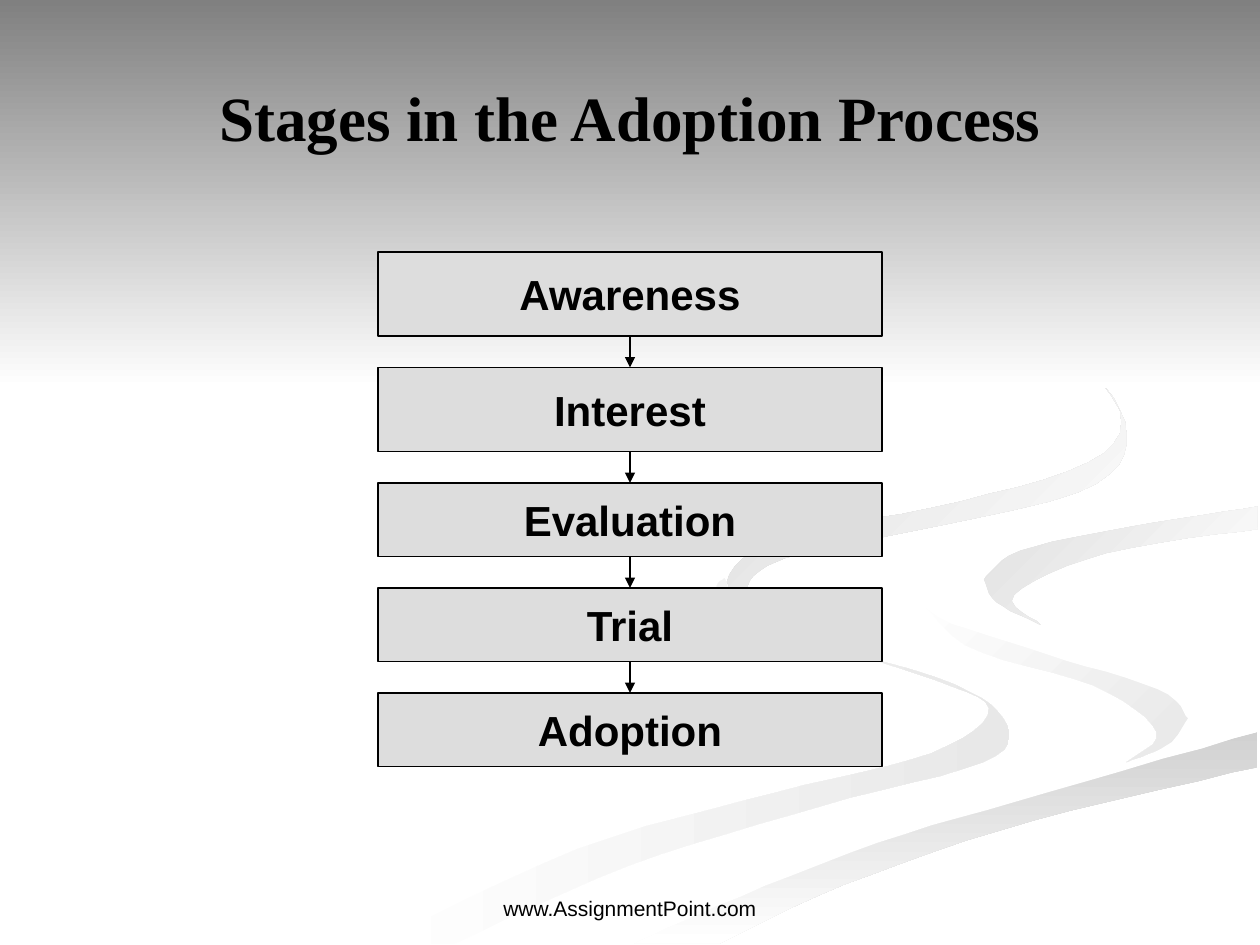
from lxml import etree
from pptx import Presentation
from pptx.dml.color import RGBColor
from pptx.enum.shapes import MSO_CONNECTOR, MSO_SHAPE
from pptx.enum.text import MSO_ANCHOR, PP_ALIGN
from pptx.oxml.ns import qn
from pptx.util import Inches, Pt

RECTANGLE = MSO_SHAPE.RECTANGLE
STRAIGHT = MSO_CONNECTOR.STRAIGHT
MIDDLE, BOTTOM = MSO_ANCHOR.MIDDLE, MSO_ANCHOR.BOTTOM
CENTER = PP_ALIGN.CENTER
BOTTOM_SIDE, TOP_SIDE = 2, 0

COLORS = {
    "ink": "000000", "box": "DDDDDD", "white": "FFFFFF", "band": "808080",
    "pale": "E8E8E8", "light": "E0E0E0", "soft": "D8D8D8", "silver": "D1D1D1",
}
FORMATS = {
    "title": {"name": "Times New Roman", "size": Pt(36), "bold": True},
    "stage": {"name": "Arial", "size": Pt(24), "bold": True},
    "footer": {"name": "Arial", "size": Pt(12), "bold": False},
}

deck = Presentation()
deck.slide_width, deck.slide_height = Inches(10), Inches(7.5)
slide = deck.slides.add_slide(deck.slide_layouts[6])
shapes = slide.shapes

# Grid of 120 columns by 90 rows
UNIT = deck.slide_width // 120
# Ribbon points are in thousandths of the slide width
POINT = deck.slide_width / 1000
STEPS = 6


def paint_gradient(shape, first, last, angle):
    shape.shadow.inherit = False
    shape.line.fill.background()
    shape.fill.gradient()
    shape.fill.gradient_angle = -angle % 360
    for stop, color, position in zip(shape.fill.gradient_stops, (first, last), (0, 1)):
        stop.color.rgb = RGBColor.from_string(COLORS[color])
        stop.position = position


def write_text(box, text, style, anchor, wrap):
    frame = box.text_frame
    frame.word_wrap = wrap
    frame.vertical_anchor = anchor
    para = frame.paragraphs[0]
    para.alignment = CENTER
    span = para.add_run()
    span.text = text
    for key, value in FORMATS[style].items():
        setattr(span.font, key, value)
    span.font.color.rgb = RGBColor.from_string(COLORS["ink"])


# Ribbon edges; neighbouring ribbons share some of them
edges = {
    "left inner": [(575, 459), (570, 470), (602, 495), (728, 535), (785, 562),
                   (739, 598), (616, 629), (458, 674), (300, 749)],
    "left outer": [(361, 749), (499, 687), (651, 640), (780, 605), (799, 575),
                   (757, 543), (642, 507), (587, 481), (575, 459)],
    "middle outer": [(724, 464), (745, 490), (830, 519), (919, 547), (943, 570)],
    "middle foot": [(943, 570), (932, 589), (894, 605)],
    "middle inner": [(894, 605), (918, 581), (868, 544), (766, 512), (724, 464)],
    "low top": [(503, 749), (569, 719), (696, 669), (831, 629), (998, 581)],
    "low bottom": [(998, 609), (821, 651), (670, 702), (571, 749)],
    "road foot": [(943, 570), (911, 600), (780, 634), (619, 684), (477, 749)],
    "road shoulder": [(998, 538), (848, 503), (794, 480), (781, 460)],
    "road top": [(998, 387), (874, 408), (770, 427), (724, 464)],
    "right top": [(781, 460), (810, 437), (898, 418), (998, 402)],
    "right bottom": [(998, 420), (878, 439), (805, 472), (826, 496)],
    "right tip": [(826, 496), (791, 478), (781, 460)],
    "upper outer": [(762, 233), (854, 283), (894, 344), (855, 391), (683, 430),
                    (616, 446), (593, 470), (622, 500)],
    "upper inner": [(622, 500), (577, 462), (625, 426), (763, 398), (876, 360),
                    (876, 306), (762, 233)],
}

# Smooth each edge with a Catmull-Rom curve
curves = {}
for name, knots in edges.items():
    padded = [knots[0], *knots, knots[-1]]
    curve = [knots[0]]
    for before, start, end, after in zip(padded, padded[1:], padded[2:], padded[3:]):
        for step in range(1, STEPS + 1):
            t = step / STEPS
            curve.append(tuple(
                b + ((c - a) * t + (2 * a - 5 * b + 4 * c - d) * t ** 2
                     + (3 * b - a - 3 * c + d) * t ** 3) / 2
                for a, b, c, d in zip(before, start, end, after)))
    curves[name] = curve

# Background ribbons: first colour, last colour, angle, edges in order
ribbons = [
    ("white", "pale", 0, ["left inner", "left outer"]),
    ("white", "pale", 45, ["middle outer", "middle foot", "middle inner"]),
    ("silver", "white", 90, ["low top", "low bottom"]),
    ("white", "white", 0, ["middle outer", "road foot", "low top", "road shoulder",
                           "right top", "road top"]),
    ("light", "white", 45, ["right top", "right bottom", "right tip"]),
    ("soft", "white", 45, ["upper outer", "upper inner"]),
]
for first, last, angle, names in ribbons:
    outline = [point for name in names for point in curves[name]]
    builder = shapes.build_freeform(*outline[0], scale=POINT)
    builder.add_line_segments(outline[1:], close=True)
    paint_gradient(builder.convert_to_shape(), first, last, angle)

# Shaded band across the top
band = shapes.add_shape(RECTANGLE, 0, 0, deck.slide_width, 37 * UNIT)
paint_gradient(band, "band", "white", 90)

# Title and footer: text, style, anchor, left, top, width, height
captions = [
    ("Stages in the Adoption Process", "title", MIDDLE, 18, 3.6, 84, 15),
    ("www.AssignmentPoint.com", "footer", BOTTOM, 41, 82, 38, 6.25),
]
for text, style, anchor, *place in captions:
    box = shapes.add_textbox(*(int(length * UNIT) for length in place))
    write_text(box, text, style, anchor, True)

# Stages stacked from top to bottom, with their heights in rows
stages = [("Awareness", 8), ("Interest", 8), ("Evaluation", 7), ("Trial", 7), ("Adoption", 7)]
GAP = 3
top = 24
boxes = []
for text, rows in stages:
    box = shapes.add_shape(RECTANGLE, 36 * UNIT, top * UNIT, 48 * UNIT, rows * UNIT)
    box.shadow.inherit = False
    box.fill.solid()
    box.fill.fore_color.rgb = RGBColor.from_string(COLORS["box"])
    box.line.color.rgb = RGBColor.from_string(COLORS["ink"])
    box.line.width = Pt(0.75)
    write_text(box, text, "stage", MIDDLE, False)
    boxes.append(box)
    top += rows + GAP

# Arrows between neighbouring stages
for upper, lower in zip(boxes, boxes[1:]):
    arrow = shapes.add_connector(STRAIGHT, 0, 0, 0, 0)
    arrow.begin_connect(upper, BOTTOM_SIDE)
    arrow.end_connect(lower, TOP_SIDE)
    arrow.line.color.rgb = RGBColor.from_string(COLORS["ink"])
    arrow.line.width = Pt(0.75)
    properties = arrow._element.spPr
    etree.SubElement(properties.find(qn("a:ln")), qn("a:tailEnd"), type="triangle")
    etree.SubElement(properties, qn("a:effectLst"))

deck.save("out.pptx")
